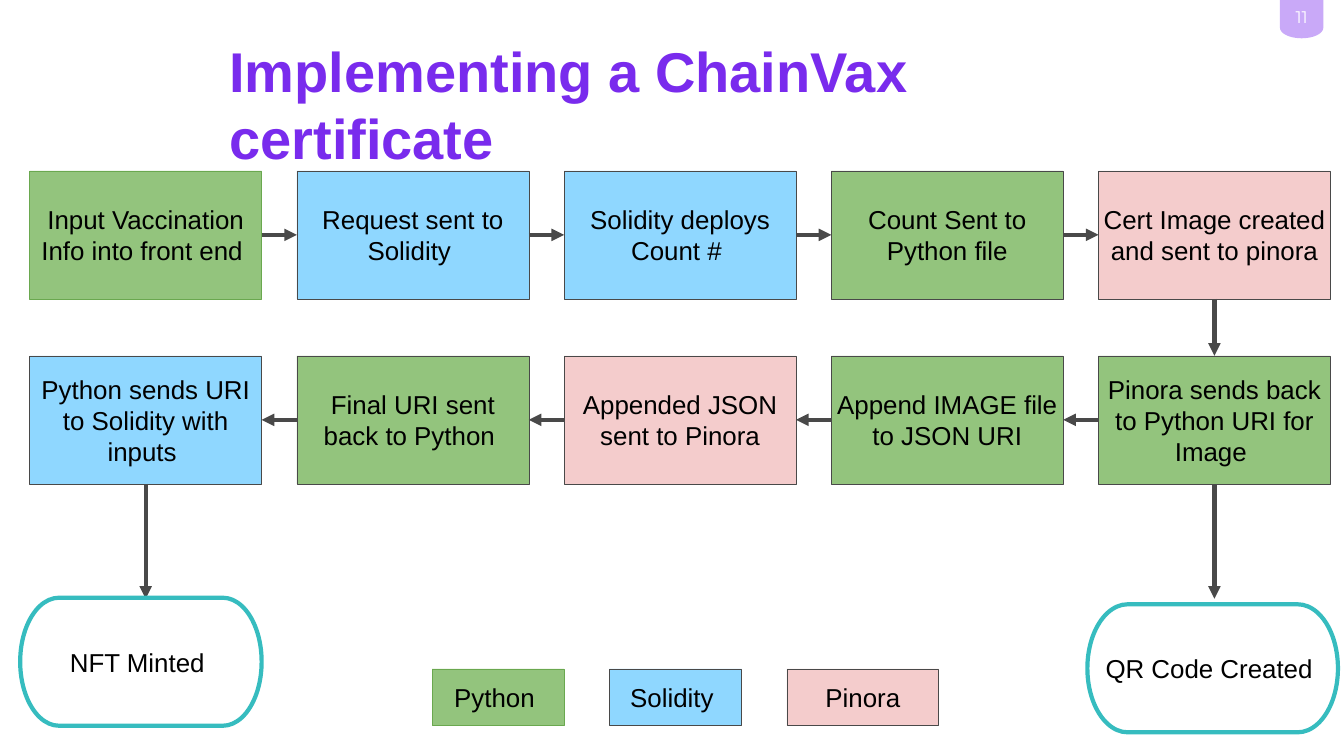
from math import cos, pi, sin

from lxml.etree import SubElement
from pptx import Presentation
from pptx.dml.color import RGBColor
from pptx.enum.shapes import MSO_CONNECTOR, MSO_SHAPE
from pptx.enum.text import MSO_ANCHOR, PP_ALIGN
from pptx.oxml.ns import qn
from pptx.util import Inches, Pt

# Content: each row of steps reads left to right on the grid
TITLE = "Implementing a ChainVax certificate"
PAGE = "11"
STEPS = [
    [("Input Vaccination Info into front end ", "python"),
     ("Request sent to Solidity ", "solidity"),
     ("Solidity deploys Count # ", "solidity"),
     ("Count Sent to Python file", "python"),
     ("Cert Image created and sent to pinora", "storage")],
    [("Python sends URI to Solidity with inputs ", "solidity"),
     ("Final URI sent back to Python ", "python"),
     ("Appended JSON sent to Pinora", "storage"),
     ("Append IMAGE file to JSON URI", "python"),
     ("Pinora sends back to Python URI for Image ", "python")],
]
# text, kind, left, width
LEGEND = [("Python ", "python", 8.57, 2.62),
          ("Solidity ", "solidity", 12.09, 2.62),
          ("Pinora", "storage", 15.61, 3.01)]
# text, column, left, top, width
RESULTS = [("NFT Minted ", 0, 0.4, 11.86, 4.79),
           ("QR Code Created ", 4, 21.57, 11.99, 4.97)]

FILLS = {"python": "93C47D", "solidity": "8FD7FF", "storage": "F4CCCC"}
DARK, GREEN, TEAL, PURPLE, LILAC = "494949", "6AA84F", "36BCBF", "792BED", "C9A9F8"

# Grid
LEFT, PITCH, BOX_W, BOX_H = 0.59, 5.3, 4.6, 2.54
ROW_TOPS = [3.39, 7.06]
LEGEND_TOP, LEGEND_H = 13.27, 1.13

prs = Presentation()
prs.slide_width, prs.slide_height = Inches(26.66), Inches(15)
s = prs.slides.add_slide(prs.slide_layouts[6])


def rgb(value):
    return RGBColor.from_string(value)


def write(shape, text, size, color, font="Arial", bold=False,
          align=PP_ALIGN.CENTER, anchor=MSO_ANCHOR.MIDDLE, inset=0.1):
    tf = shape.text_frame
    tf.word_wrap = True
    tf.vertical_anchor = anchor
    tf.margin_left = tf.margin_right = tf.margin_top = tf.margin_bottom = Inches(inset)
    tf.text = text
    p = tf.paragraphs[0]
    p.alignment = align
    f = p.runs[0].font
    f.name, f.size, f.bold, f.color.rgb = font, Pt(size), bold, rgb(color)


def add_box(kind, text, x, y, w, h, fill, line, weight=0.75):
    sp = s.shapes.add_shape(kind, Inches(x), Inches(y), Inches(w), Inches(h))
    sp.shadow.inherit = False
    sp.fill.solid()
    sp.fill.fore_color.rgb = rgb(fill)
    sp.line.color.rgb = rgb(line)
    sp.line.width = Pt(weight)
    write(sp, text, 37, "000000")


def add_arrow(x1, y1, x2, y2):
    c = s.shapes.add_connector(MSO_CONNECTOR.STRAIGHT, Inches(x1), Inches(y1),
                               Inches(x2), Inches(y2))
    c.line.color.rgb = rgb(DARK)
    c.line.width = Pt(6)
    SubElement(c.line._get_or_add_ln(), qn("a:tailEnd"), type="triangle")
    SubElement(c._element.spPr, qn("a:effectLst"))


def col_left(col):
    return LEFT + col * PITCH


def col_mid(col):
    return col_left(col) + BOX_W / 2


# Page badge with a rounded lower edge
BADGE_X, BADGE_W, BADGE_SIDE, BADGE_DROP = 25.39, 0.86, 0.55, 0.21
arc = [(BADGE_X + BADGE_W / 2 * (1 + cos(pi * i / 24)),
        BADGE_SIDE + BADGE_DROP * sin(pi * i / 24)) for i in range(25)]
fb = s.shapes.build_freeform(Inches(BADGE_X), 0, scale=1.0)
fb.add_line_segments([(Inches(BADGE_X + BADGE_W), 0)]
                     + [(Inches(x), Inches(y)) for x, y in arc], close=True)
badge = fb.convert_to_shape()
badge.shadow.inherit = False
badge.fill.solid()
badge.fill.fore_color.rgb = rgb(LILAC)
badge.line.fill.background()
number = s.shapes.add_textbox(Inches(BADGE_X), Inches(0.03), Inches(BADGE_W), Inches(0.61))
write(number, PAGE, 24, "FFFFFF", font="Montserrat", inset=0)

# Title
title = s.shapes.add_textbox(Inches(4.45), Inches(0.68), Inches(18.06), Inches(1.45))
write(title, TITLE, 80, PURPLE, bold=True, align=PP_ALIGN.LEFT,
      anchor=MSO_ANCHOR.TOP, inset=0.1)
title.text_frame.margin_top = title.text_frame.margin_bottom = Inches(0.05)

# Step boxes
for row, (top, steps) in enumerate(zip(ROW_TOPS, STEPS)):
    for col, (text, kind) in enumerate(steps):
        line = GREEN if row == col == 0 else DARK
        add_box(MSO_SHAPE.RECTANGLE, text, col_left(col), top, BOX_W, BOX_H,
                FILLS[kind], line)

# Arrows: first row runs right, second row runs back left
first_mid, second_mid = [top + BOX_H / 2 for top in ROW_TOPS]
for col in range(4):
    gap_start, gap_end = col_left(col) + BOX_W, col_left(col + 1)
    add_arrow(gap_start, first_mid, gap_end, first_mid)
    add_arrow(gap_end, second_mid, gap_start, second_mid)
add_arrow(col_mid(4), ROW_TOPS[0] + BOX_H, col_mid(4), ROW_TOPS[1])

# Results, each below its column
for text, col, x, y, w in RESULTS:
    add_arrow(col_mid(col), ROW_TOPS[1] + BOX_H, col_mid(col), 11.88)
    add_box(MSO_SHAPE.FLOWCHART_TERMINATOR, text, x, y, w, BOX_H, "FFFFFF", TEAL, 6)

# Legend
for text, kind, x, w in LEGEND:
    add_box(MSO_SHAPE.RECTANGLE, text, x, LEGEND_TOP, w, LEGEND_H, FILLS[kind],
            GREEN if kind == "python" else DARK)

prs.save("out.pptx")
